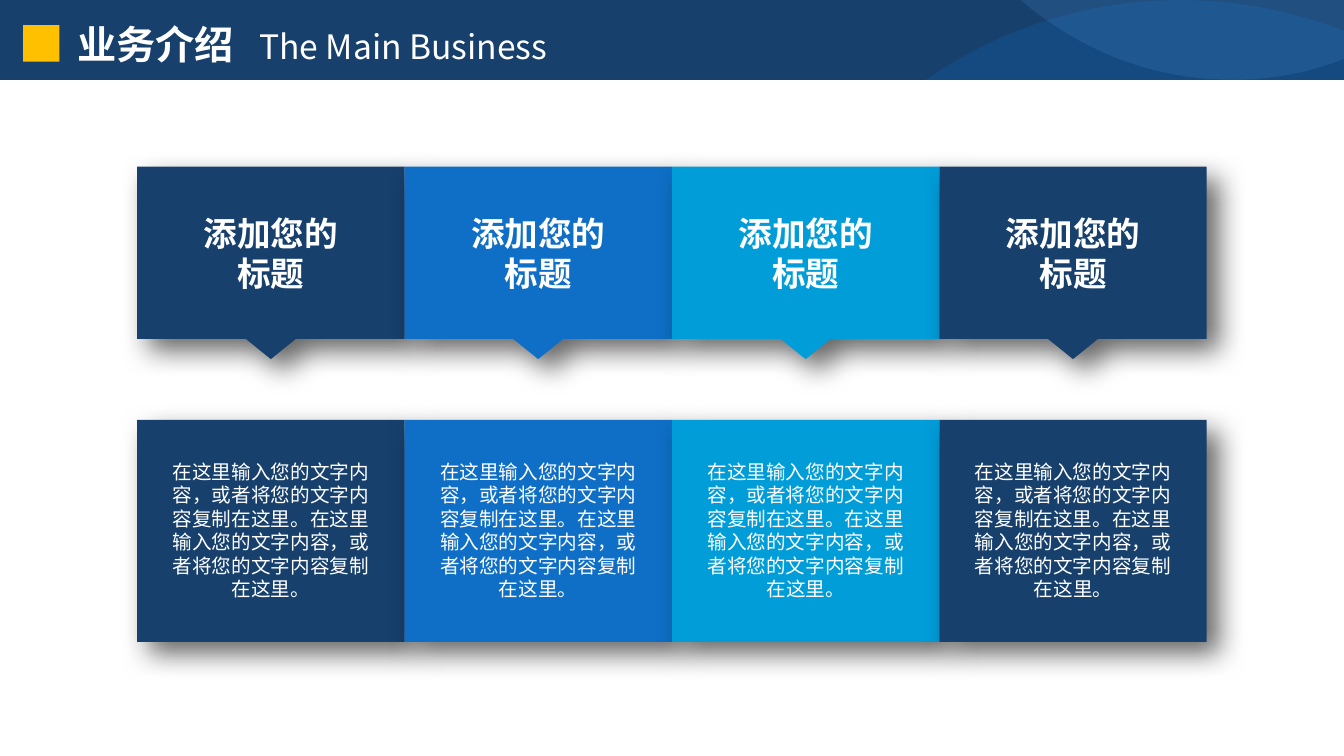
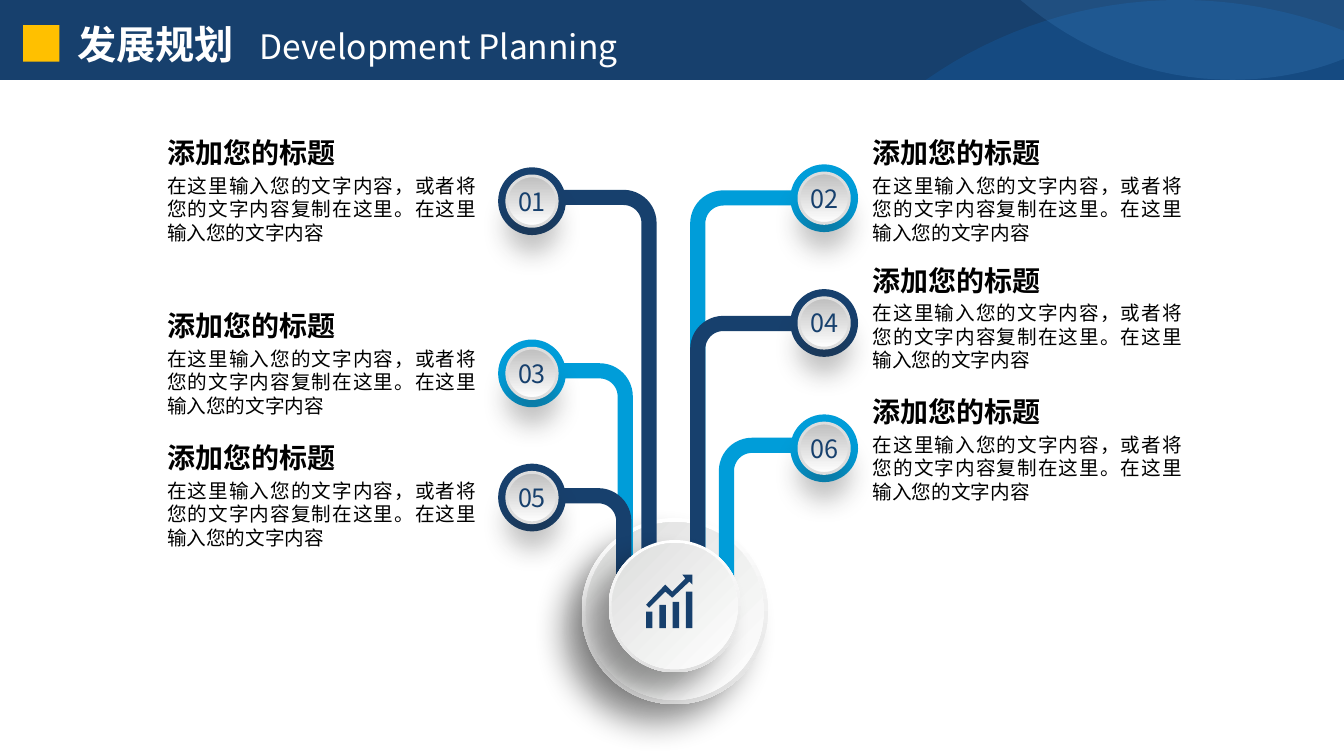
from lxml.etree import SubElement
from pptx import Presentation
from pptx.dml.color import RGBColor
from pptx.enum.shapes import MSO_SHAPE
from pptx.enum.text import MSO_ANCHOR, MSO_AUTO_SIZE, PP_ALIGN
from pptx.oxml.ns import qn
from pptx.util import Pt

FONT = "Noto Sans CJK SC"
NAVY, BLUE, CYAN, GOLD = "17406D", "0F6FC6", "009DD9", "FFC000"
WHITE, BLACK = "FFFFFF", "000000"
rgb = RGBColor.from_string


def paint(sp, fill, line=None, width=0, alpha=None, shadow=None):
    """fill: hex or (from, to, angle); shadow: (hex, opacity, blur, distance, direction)."""
    if isinstance(fill, tuple):
        sp.fill.gradient()
        sp.fill.gradient_angle = fill[2]
        for stop, color, position in zip(sp.fill.gradient_stops, fill, (0, 1)):
            stop.color.rgb = rgb(color)
            stop.position = position
    else:
        sp.fill.solid()
        sp.fill.fore_color.rgb = rgb(fill)
    if alpha:
        color = sp.element.spPr.find(".//" + qn("a:srgbClr"))
        SubElement(color, qn("a:alpha"), val=str(alpha * 1000))
    if line:
        sp.line.color.rgb = rgb(line)
        sp.line.width = Pt(width)
    else:
        sp.line.fill.background()
    sp.shadow.inherit = False
    if shadow:
        color, opacity, blur, dist, angle = shadow
        effects = sp.element.spPr.find(qn("a:effectLst"))
        outer = SubElement(effects, qn("a:outerShdw"), blurRad=str(Pt(blur)), dist=str(Pt(dist)),
                           dir=str(angle * 60000), algn="ctr", rotWithShape="0")
        clr = SubElement(outer, qn("a:srgbClr"), val=color)
        SubElement(clr, qn("a:alpha"), val=str(opacity * 1000))


def write(sp, text, size, color, bold=False, align=PP_ALIGN.LEFT):
    """Fill a shape with text, one paragraph a line; return the last paragraph."""
    tf = sp.text_frame
    tf.word_wrap = True
    tf.text = text
    for p in tf.paragraphs:
        p.alignment = align
        p.font.name = FONT
        p.font.size = Pt(size)
        p.font.bold = bold
        p.font.color.rgb = rgb(color)
        SubElement(p.font._element, qn("a:ea"), typeface=FONT)
    return p


prs = Presentation()
prs.slide_width, prs.slide_height = Pt(960), Pt(540)
layout = prs.slide_layouts[5]

# Title placeholder, shared through the layout
title = layout.placeholders[0]
title.left, title.top, title.width, title.height = Pt(48), Pt(11), Pt(523), Pt(41)
title.text_frame.vertical_anchor = MSO_ANCHOR.MIDDLE
title.text_frame.auto_size = MSO_AUTO_SIZE.NONE

# Slides with their two-language titles
slides = []
for chinese, english in [("业务介绍", "The Main Business"), ("发展规划", "Development Planning")]:
    s = prs.slides.add_slide(layout)
    p = write(s.shapes.title, chinese + "\t", 28, WHITE, True)
    tabs = p._p.pPr.makeelement(qn("a:tabLst"))
    SubElement(tabs, qn("a:tab"), pos=str(Pt(130)), algn="l")
    p.font._element.addprevious(tabs)
    r = p.add_run()
    r.text = english
    r.font.size = Pt(24)
    r.font.bold = False
    slides.append(s)
business, planning = slides

# Header band, moved to the layout: bar, two curved waves, gold square
bar = business.shapes.add_shape(MSO_SHAPE.RECTANGLE, 0, 0, Pt(960), Pt(57))
paint(bar, NAVY)
header = [bar]
waves = [  # Bezier points, closing corner, fill, opacity
    ([(661.5, 57), (713, 21), (776, 0), (843, 0), (884, 0), (924, 8), (960, 22)],
     (960, 57), BLUE, 23),
    ([(960, 42), (935, 52), (908, 57), (880, 57), (822, 57), (770, 35), (729, 0)],
     (960, 0), "59AAF2", 15),
]
STEPS = 16
for curve, corner, color, alpha in waves:
    points = []
    for start in (0, 3):
        for i in range(1, STEPS + 1):
            t = i / STEPS
            weights = ((1 - t) ** 3, 3 * t * (1 - t) ** 2, 3 * t * t * (1 - t), t ** 3)
            control = curve[start:start + 4]
            points.append([Pt(sum(w * c[axis] for w, c in zip(weights, control)))
                           for axis in (0, 1)])
    points.append([Pt(v) for v in corner])
    fb = business.shapes.build_freeform(Pt(curve[0][0]), Pt(curve[0][1]))
    fb.add_line_segments(points)
    wave = fb.convert_to_shape()
    paint(wave, color, alpha=alpha)
    header.append(wave)
square = business.shapes.add_shape(MSO_SHAPE.RECTANGLE, Pt(16.5), Pt(18), Pt(26), Pt(26))
paint(square, GOLD)
header.append(square)
for i, sp in enumerate(header):
    sp.element.nvSpPr.cNvPr.set("id", str(20 + i))
    title.element.addprevious(sp.element)

# Business: four columns, each a pointed heading above a text panel
PANEL_W = 191
PANEL_SHADOW = (BLACK, 60, 20, 12, 45)
SENTENCE = "在这里输入您的文字内容，或者将您的文字内容复制在这里。"
shapes = business.shapes
columns = [(98 + i * PANEL_W, color) for i, color in enumerate((NAVY, BLUE, CYAN, NAVY))]
for x, color in columns:
    panel = shapes.add_shape(MSO_SHAPE.RECTANGLE, Pt(x), Pt(300), Pt(PANEL_W), Pt(158.5))
    paint(panel, color, shadow=PANEL_SHADOW)
    right, middle = x + PANEL_W, x + PANEL_W / 2
    outline = [(right, 119), (right, 242), (middle + 18, 242), (middle, 256.5),
               (middle - 18, 242), (x, 242)]
    fb = shapes.build_freeform(Pt(x), Pt(119))
    fb.add_line_segments([(Pt(px), Pt(py)) for px, py in outline])
    paint(fb.convert_to_shape(), color, shadow=PANEL_SHADOW)
for x, color in columns:
    heading = shapes.add_textbox(Pt(x + 22.5), Pt(148.5), Pt(146), Pt(65.5))
    write(heading, "添加您的\n标题", 24, WHITE, True, PP_ALIGN.CENTER)
    body = shapes.add_textbox(Pt(x + 16), Pt(324.7), Pt(159), Pt(108.7))
    write(body, SENTENCE * 2, 14, WHITE, align=PP_ALIGN.CENTER)

# Planning: six branches growing out of a hub
shapes = planning.shapes
branches = [  # on the right?, colour, branch x, y, height, node y, text y
    (False, NAVY, 397, 138.6, 277, 119.5, 93),
    (True, CYAN, 496, 139, 258, 117.4, 93),
    (False, CYAN, 380, 262.5, 188, 242.5, 216.7),
    (True, NAVY, 496, 228.6, 201, 206.5, 184.3),
    (False, NAVY, 379, 351.7, 91.5, 331.2, 311),
    (True, CYAN, 516.5, 315.7, 127.5, 296, 278),
]

# Hub: outer disc behind the branches, inner disc in front
CX, CY = 482, 436.5
BRANCH_W = 69
for ring, (outer_d, inner_d) in enumerate([(133, 127), (94.5, 90)]):
    disc_styles = [(outer_d, (WHITE, "E0E0E0", 270), (BLACK, 40, 22, 20, 135)),
                   (inner_d, (WHITE, "DDDEDD", 135), None)]
    for d, fill, shadow in disc_styles:
        y = CY - d / 2 - (3.5 if ring else 3) + (0 if ring else 3)
        disc = shapes.add_shape(MSO_SHAPE.OVAL, Pt(CX - d / 2), Pt(y), Pt(d), Pt(d))
        paint(disc, fill, shadow=shadow)
    if ring == 0:
        for on_right, color, x, y, h, _, _ in branches:
            # turned a quarter, so the frame is h wide about the same centre
            branch = shapes.add_shape(
                MSO_SHAPE.BENT_ARROW, Pt(x + (BRANCH_W - h) / 2), Pt(y + (h - BRANCH_W) / 2),
                Pt(h), Pt(BRANCH_W))
            for i, value in enumerate((0.074, 0.035, 0, 0.3)):
                branch.adjustments[i] = value
            branch.rotation = 90
            if on_right:
                branch.element.spPr.xfrm.set("flipV", "1")
            paint(branch, color, color, 6)

# Growth icon: rising arrow over four bars
arrow = [(489.6, 413.3), (480.2, 422.6), (475.2, 417.6), (461.5, 432), (463.7, 434.2),
         (475.2, 422.6), (480.2, 427), (492.5, 415.4), (494.6, 417.6), (494.6, 410.4)]
fb = shapes.build_freeform(Pt(487.4), Pt(410.4))
fb.add_line_segments([(Pt(x), Pt(y)) for x, y in arrow])
for i, top in enumerate((437, 432, 430, 422.6)):
    x = 461.5 + 9.5 * i
    fb.move_to(Pt(x), Pt(top))
    fb.add_line_segments([(Pt(x + 4.6), Pt(top)), (Pt(x + 4.6), Pt(448.6)), (Pt(x), Pt(448.6))])
paint(fb.convert_to_shape(), NAVY)

# Numbered nodes and their texts
for number, (on_right, color, _, _, _, node_y, text_y) in enumerate(branches, 1):
    x = 564.5 if on_right else 355.8
    node = shapes.add_shape(MSO_SHAPE.OVAL, Pt(x), Pt(node_y), Pt(48.4), Pt(48.4))
    paint(node, color)
    button = shapes.add_shape(MSO_SHAPE.OVAL, Pt(x + 6.2), Pt(node_y + 6.2), Pt(36), Pt(36))
    paint(button, ("BFBFBF", WHITE, 270), "DDDDDD", 2, shadow=("262626", 28, 18, 18, 90))
    label = shapes.add_textbox(Pt(x + 3), Pt(node_y + 9.7), Pt(42.4), Pt(29))
    write(label, f"{number:02}", 18, NAVY, align=PP_ALIGN.CENTER)

    x = 616.3 if on_right else 112.3
    heading = shapes.add_textbox(Pt(x), Pt(text_y), Pt(161), Pt(31.5))
    write(heading, "添加您的标题", 20, BLACK, True)
    body = shapes.add_textbox(Pt(x), Pt(text_y + 27.4), Pt(235), Pt(58.3))
    write(body, SENTENCE + "在这里输入您的文字内容", 14, BLACK, align=PP_ALIGN.JUSTIFY)

prs.save("out.pptx")
